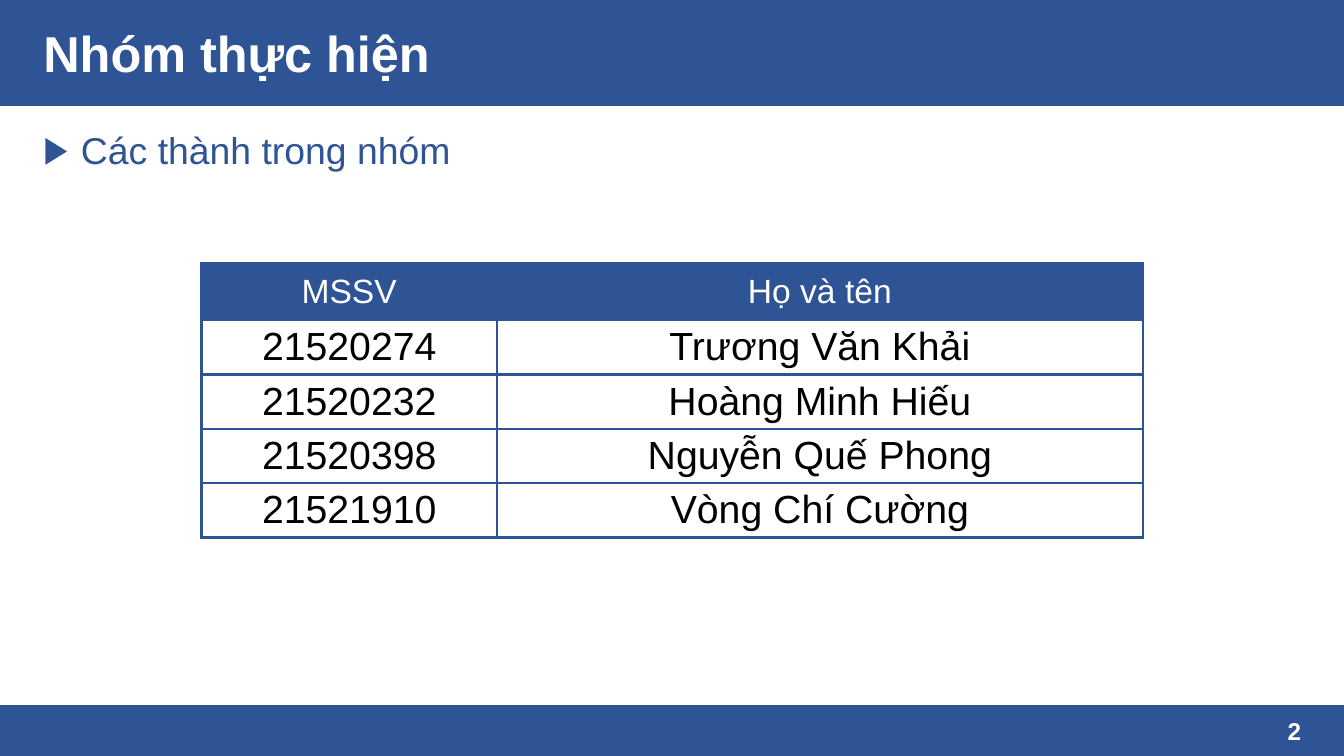
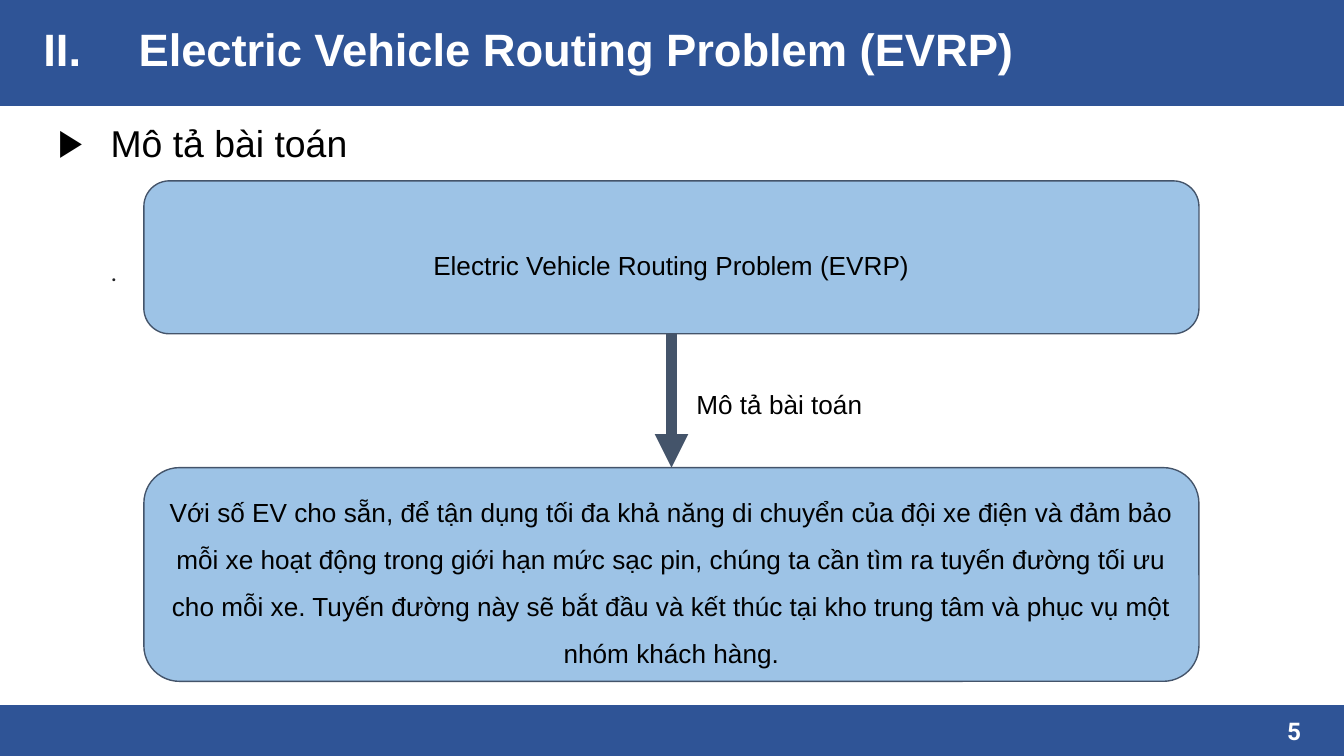
from lxml import etree
from pptx import Presentation
from pptx.dml.color import RGBColor
from pptx.enum.shapes import MSO_CONNECTOR, MSO_SHAPE
from pptx.enum.text import MSO_ANCHOR, MSO_AUTO_SIZE, PP_ALIGN
from pptx.oxml.ns import qn
from pptx.util import Cm, Pt

BLUE, PALE_BLUE, SLATE = "2F5496", "9DC3E6", "44546A"
WHITE, BLACK, DARK_GREY = "FFFFFF", "000000", "202124"
FONT, SECOND_FONT = "Arial", "Roboto"
WIDTH, HEIGHT = 25.4, 14.29
HEADER_HEIGHT, FOOTER_TOP = 1.98, 13.34
MARGIN, CONTENT_WIDTH, BODY_HEIGHT = 0.64, 24.13, 10.77
INSETS = (0.18, 0.1)

MEMBERS_TITLE = "Nhóm thực hiện"
MEMBERS_HEADING = "Các thành trong nhóm"
MEMBERS = [
    ("MSSV", "Họ và tên"),
    ("21520274", "Trương Văn Khải"),
    ("21520232", "Hoàng Minh Hiếu"),
    ("21520398", "Nguyễn Quế Phong"),
    ("21521910", "Vòng Chí Cường"),
]
COLUMN_WIDTHS = (5.58, 12.21)
HEADER_ROW, MEMBER_ROW = 1.07, 0.97

PROBLEM_TITLE = "Electric Vehicle Routing Problem (EVRP)"
PROBLEM_LINES = ["Mô tả bài toán", ".", "Mô tả bài toán"]
BOX_LEFT, BOX_WIDTH = 2.72, 19.94
BOXES = [  # top, height, text
    (3.42, 2.89, "Electric Vehicle Routing Problem (EVRP)"),
    (8.84, 4.04,
     "Với số EV cho sẵn, để tận dụng tối đa khả năng di chuyển của đội xe điện "
     "và đảm bảo mỗi xe hoạt động trong giới hạn mức sạc pin, chúng ta cần tìm ra "
     "tuyến đường tối ưu cho mỗi xe. Tuyến đường này sẽ bắt đầu và kết thúc tại kho "
     "trung tâm và phục vụ một nhóm khách hàng."),
]


def rgb(color):
    return RGBColor.from_string(color)


def place(shape, left, top, width, height):
    shape.left, shape.top = Cm(left), Cm(top)
    shape.width, shape.height = Cm(width), Cm(height)


def set_frame(frame, anchor, insets=INSETS):
    frame.word_wrap = True
    frame.auto_size = MSO_AUTO_SIZE.NONE
    frame.vertical_anchor = anchor
    frame.margin_left = frame.margin_right = Cm(insets[0])
    frame.margin_top = frame.margin_bottom = Cm(insets[1])


def style(paragraph, size, color, align=PP_ALIGN.LEFT, bold=False, font=FONT,
          spacing=1.0, before=0):
    paragraph.alignment = align
    paragraph.line_spacing = spacing
    paragraph.space_before = Pt(before)
    for run in paragraph.runs:
        run.font.name, run.font.size, run.font.bold = font, Pt(size), bold
        run.font.color.rgb = rgb(color)


def set_bullet(paragraph, left, indent, color=None, tag="a:buNone", **attributes):
    """Set the indents in cm and the bullet element; without a tag, no bullet."""
    properties = paragraph._p.get_or_add_pPr()
    properties.set("marL", str(int(Cm(left))))
    properties.set("indent", str(int(Cm(indent))))
    if color:
        bullet_color = etree.SubElement(properties, qn("a:buClr"))
        etree.SubElement(bullet_color, qn("a:srgbClr"), val=color)
    etree.SubElement(properties, qn(tag), **attributes)


def add_filled(slide, kind, box, fill, line, line_width):
    shape = slide.shapes.add_shape(kind, *map(Cm, box))
    shape.shadow.inherit = False
    shape.fill.solid()
    shape.fill.fore_color.rgb = rgb(fill)
    shape.line.color.rgb = rgb(line)
    shape.line.width = Pt(line_width)
    return shape


def add_base_slide(presentation, title, number, title_box, title_size, body_top,
                   number_font=FONT):
    """Add a slide with bands, title and page number; return it and its body."""
    slide = presentation.slides.add_slide(presentation.slide_layouts[1])
    for top, height in ((0, HEADER_HEIGHT), (FOOTER_TOP, HEIGHT - FOOTER_TOP)):
        band = add_filled(slide, MSO_SHAPE.RECTANGLE, (0, top, WIDTH, height),
                          BLUE, BLUE, 1)
        slide.shapes._spTree.insert(2, band._element)  # behind the placeholders

    heading = slide.shapes.title
    place(heading, MARGIN, title_box[0], CONTENT_WIDTH, title_box[1])
    heading.text_frame.text = title
    set_frame(heading.text_frame, MSO_ANCHOR.MIDDLE)
    style(heading.text_frame.paragraphs[0], title_size, WHITE, bold=True)

    page = slide.shapes.add_textbox(Cm(20.5), Cm(13.44), Cm(4.27), Cm(0.76))
    page.text_frame.text = number
    set_frame(page.text_frame, MSO_ANCHOR.MIDDLE)
    style(page.text_frame.paragraphs[0], 13, WHITE, PP_ALIGN.RIGHT, True, number_font)

    body = slide.placeholders[1]
    place(body, MARGIN, body_top, CONTENT_WIDTH, BODY_HEIGHT)
    set_frame(body.text_frame, MSO_ANCHOR.TOP)
    return slide, body.text_frame


def set_borders(cell, color, width):
    properties = cell._tc.get_or_add_tcPr()
    for side in ("a:lnL", "a:lnR", "a:lnT", "a:lnB"):
        line = etree.SubElement(properties, qn(side), w=str(int(Pt(width))))
        fill = etree.SubElement(line, qn("a:solidFill"))
        etree.SubElement(fill, qn("a:srgbClr"), val=color)


def add_member_table(slide):
    height = HEADER_ROW + MEMBER_ROW * (len(MEMBERS) - 1)
    table = slide.shapes.add_table(len(MEMBERS), len(COLUMN_WIDTHS), Cm(3.81), Cm(4.98),
                                   Cm(sum(COLUMN_WIDTHS)), Cm(height)).table
    table.first_row = table.horz_banding = False
    for column, width in zip(table.columns, COLUMN_WIDTHS):
        column.width = Cm(width)
    for row_index, values in enumerate(MEMBERS):
        is_header = row_index == 0
        table.rows[row_index].height = Cm(HEADER_ROW if is_header else MEMBER_ROW)
        for column_index, value in enumerate(values):
            cell = table.cell(row_index, column_index)
            cell.text_frame.text = value
            cell.vertical_anchor = MSO_ANCHOR.MIDDLE
            cell.margin_left = cell.margin_right = Cm(0.2)
            cell.margin_top = cell.margin_bottom = Cm(0.1)
            style(cell.text_frame.paragraphs[0], 18 if is_header else 21,
                  WHITE if is_header else BLACK, PP_ALIGN.CENTER)
            set_borders(cell, BLUE, 1.5)
            if is_header:
                cell.fill.solid()
                cell.fill.fore_color.rgb = rgb(BLUE)
            else:
                cell.fill.background()


def add_arrow(slide, start, end):
    arrow = slide.shapes.add_connector(MSO_CONNECTOR.STRAIGHT, 0, 0, 0, 0)
    arrow.begin_connect(start, 2)
    arrow.end_connect(end, 0)
    arrow.line.color.rgb = rgb(SLATE)
    arrow.line.width = Pt(6)
    etree.SubElement(arrow.line._get_or_add_ln(), qn("a:tailEnd"), type="triangle")
    etree.SubElement(arrow._element.spPr, qn("a:effectLst"))


def add_members_slide(presentation):
    slide, body = add_base_slide(presentation, MEMBERS_TITLE, "2", (0, 1.96), 27, 2.31)
    body.text = MEMBERS_HEADING
    style(body.paragraphs[0], 20, BLUE)
    set_bullet(body.paragraphs[0], 0.71, -0.71, BLUE, "a:buChar", char="▶")
    add_member_table(slide)


def add_problem_slide(presentation):
    slide, body = add_base_slide(presentation, PROBLEM_TITLE, "5", (0.36, 1.12), 24.3,
                                 1.75, SECOND_FONT)
    set_bullet(slide.shapes.title.text_frame.paragraphs[0], 1.8, -1.8, WHITE,
               "a:buAutoNum", type="romanUcPeriod", startAt="2")

    body.text = "\n".join(PROBLEM_LINES)
    heading, dot, arrow_label = body.paragraphs
    style(heading, 20, BLACK, spacing=1.5, before=2)
    set_bullet(heading, 1.27, -0.99, BLACK, "a:buChar", char="▶")
    style(dot, 14, DARK_GREY, font=SECOND_FONT, spacing=1.15, before=46)
    set_bullet(dot, 0, 1.27)
    style(arrow_label, 14, BLACK, spacing=1.5, before=46)
    set_bullet(arrow_label, 12.34, 0)

    boxes = []
    for top, height, text in BOXES:
        box = add_filled(slide, MSO_SHAPE.ROUNDED_RECTANGLE,
                         (BOX_LEFT, top, BOX_WIDTH, height), PALE_BLUE, SLATE, 0.75)
        box.text_frame.text = text
        set_frame(box.text_frame, MSO_ANCHOR.MIDDLE, (0.25, 0.25))
        style(box.text_frame.paragraphs[0], 14, BLACK, PP_ALIGN.CENTER, spacing=1.5)
        boxes.append(box)
    add_arrow(slide, *boxes)


def main():
    presentation = Presentation()
    presentation.slide_width, presentation.slide_height = Cm(WIDTH), Cm(HEIGHT)
    add_members_slide(presentation)
    add_problem_slide(presentation)
    presentation.save("out.pptx")


if __name__ == "__main__":
    main()
